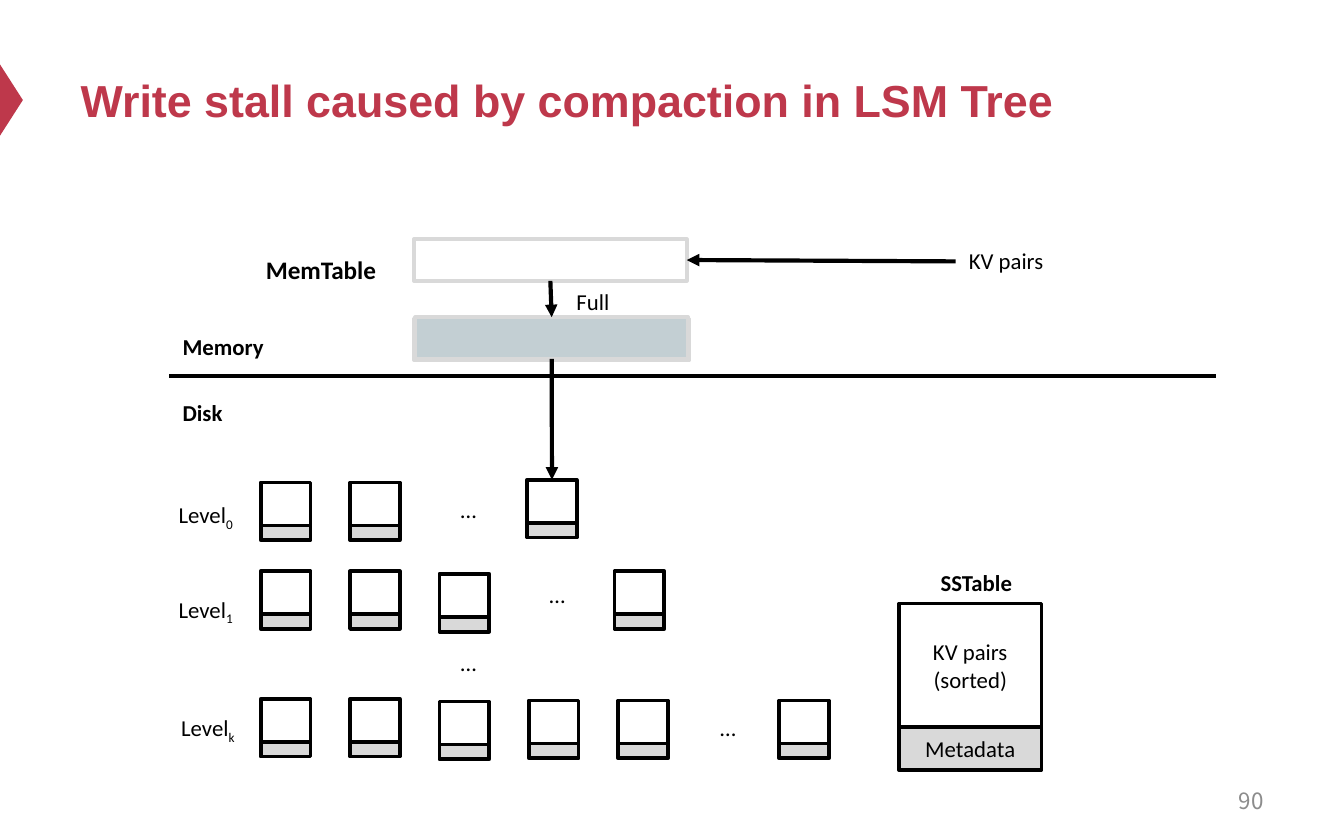
"""Build a slide on write stalls caused by compaction in an LSM tree."""
from lxml.etree import SubElement
from pptx import Presentation
from pptx.dml.color import RGBColor
from pptx.enum.shapes import MSO_CONNECTOR, MSO_SHAPE
from pptx.enum.text import MSO_ANCHOR, MSO_AUTO_SIZE, PP_ALIGN
from pptx.oxml.ns import qn
from pptx.util import Inches, Pt

RED = RGBColor(0xBE, 0x38, 0x4B)
BLACK = RGBColor(0, 0, 0)
LIGHT_GREY = RGBColor(0xD9, 0xD9, 0xD9)
NUMBER_GREY = RGBColor(0x8C, 0x8C, 0x8C)
BLUE_GREY = RGBColor(0xC3, 0xCF, 0xD3)

WIDTH, HEIGHT = Inches(10), Inches(6.25)
BODY = {"name": "Calibri", "size": Pt(12.2), "bold": False}
STRONG = {**BODY, "bold": True}
TEXT_HEIGHT = 4.96
FIRST_COLUMN, COLUMN_STEP = 19.4, 6.65
TILE_WIDTH, DATA_HEIGHT, METADATA_HEIGHT = 3.7, 5.12, 1.76

LEVELS = [
    {"name": "0", "label": (12.3, 58.88, 6.5), "top": 57.44,
     "tiles": [(0, 0), (1, 0), (2.98, -0.32)]},
    {"name": "1", "label": (12.3, 70.08, 6.2), "top": 68,
     "tiles": [(0, 0), (1, 0), (2, 0.32), (3.96, 0)]},
    {"name": "k", "label": (12.5, 84.16, 6.4), "top": 83.2,
     "tiles": [(0, 0), (1, 0), (2, 0.32), (3, 0.2), (4, 0.2), (5.8, 0.2)]},
]
ELLIPSES = [(33.3, 58.24), (39.9, 68.32), (33.3, 76.48), (52.6, 84.16)]
LABELS = [
    ("Memory", 12.6, 38.88, 8.2, STRONG),
    ("Disk", 12.6, 46.72, 5.1, STRONG),
    ("Full", 41.9, 33.44, 4.5, BODY),
    ("SSTable", 69, 66.88, 7.7, STRONG),
    ("MemTable", 18.8, 29.44, 11.8, {**STRONG, "size": Pt(13.5)}),
]


def across(share):
    """Turn a percentage of the slide's width into a length."""
    return round(WIDTH * share / 100)


def down(share):
    """Turn a percentage of the slide's height into a length."""
    return round(HEIGHT * share / 100)


def frame(left, top, width, height):
    """Return a position and size from shares of the slide."""
    return across(left), down(top), across(width), down(height)


def set_values(target, values):
    """Set attributes from a dict of format values."""
    for name, value in values.items():
        setattr(target, name, value)


def write(para, text, style, color=BLACK):
    """Add a formatted span to a paragraph."""
    span = para.add_run()
    span.text = text
    set_values(span.font, style)
    span.font.color.rgb = color
    return span


def add_label(slide, text, left, top, width, style=BODY):
    """Add a one-line text box."""
    box = slide.shapes.add_textbox(*frame(left, top, width, TEXT_HEIGHT))
    set_values(box.text_frame, {"word_wrap": False, "auto_size": MSO_AUTO_SIZE.SHAPE_TO_FIT_TEXT})
    write(box.text_frame.paragraphs[0], text, style)
    return box


def add_box(slide, place, fill=None, line=BLACK, lines=()):
    """Add an outlined rectangle with optional centred text lines."""
    box = slide.shapes.add_shape(MSO_SHAPE.RECTANGLE, *frame(*place))
    box.shadow.inherit = False
    if fill is None:
        box.fill.background()
    else:
        box.fill.solid()
        box.fill.fore_color.rgb = fill
    box.line.color.rgb = line
    box.line.width = Pt(2)
    text_frame = box.text_frame
    text_frame.vertical_anchor = MSO_ANCHOR.MIDDLE
    for index, text in enumerate(lines):
        para = text_frame.add_paragraph() if index else text_frame.paragraphs[0]
        para.alignment = PP_ALIGN.CENTER
        write(para, text, BODY)
    return box


def add_line(slide, start=(0, 0), end=(0, 0)):
    """Add a plain black line between two points."""
    line = slide.shapes.add_connector(
        MSO_CONNECTOR.STRAIGHT, across(start[0]), down(start[1]), across(end[0]), down(end[1]))
    line.line.color.rgb = BLACK
    line.line.width = Pt(2.25)
    SubElement(line._element.spPr, qn("a:effectLst"))
    return line


def add_arrow(slide, source, source_side, target, target_side):
    """Join two boxes with an arrow."""
    arrow = add_line(slide)
    arrow.begin_connect(source, source_side)
    arrow.end_connect(target, target_side)
    SubElement(arrow.line._get_or_add_ln(), qn("a:tailEnd"), type="triangle")


def add_tile(slide, column, top):
    """Add a small table file and return its data part."""
    left = FIRST_COLUMN + column * COLUMN_STEP
    data = add_box(slide, (left, top, TILE_WIDTH, DATA_HEIGHT))
    add_box(slide, (left, top + DATA_HEIGHT, TILE_WIDTH, METADATA_HEIGHT), LIGHT_GREY)
    return data


def add_level(slide, level):
    """Add a level's label and tiles and return the last tile."""
    label = add_label(slide, "Level", *level["label"])
    subscript = write(label.text_frame.paragraphs[0], level["name"], BODY)
    subscript._r.get_or_add_rPr().set("baseline", "-25000")
    return [add_tile(slide, column, level["top"] + drop) for column, drop in level["tiles"]][-1]


def add_heading(slide):
    """Fill the title and add its marker and the page number."""
    title = slide.shapes.title
    title.left, title.top, title.width, title.height = frame(5, 4, 90, 15.68)
    set_values(title.text_frame, {"vertical_anchor": MSO_ANCHOR.MIDDLE, "word_wrap": True,
                                  "auto_size": MSO_AUTO_SIZE.NONE})
    para = title.text_frame.paragraphs[0]
    para.alignment = PP_ALIGN.LEFT
    write(para, "Write stall caused by compaction in LSM Tree",
          {"name": "Arial", "size": Pt(24), "bold": True}, RED)

    marker = slide.shapes.add_shape(MSO_SHAPE.ISOSCELES_TRIANGLE, *frame(-1.8, 10.56, 5.3, 2.72))
    marker.rotation = 90
    marker.shadow.inherit = False
    marker.fill.solid()
    marker.fill.fore_color.rgb = RED
    marker.line.fill.background()

    number = slide.shapes.add_textbox(*frame(71.7, 92.64, 23.3, 5.28))
    set_values(number.text_frame, {"word_wrap": True, "vertical_anchor": MSO_ANCHOR.MIDDLE})
    para = number.text_frame.paragraphs[0]
    para.alignment = PP_ALIGN.RIGHT
    write(para, "90", {"name": "Noto Sans CJK SC", "size": Pt(12)}, NUMBER_GREY)


def main():
    """Build and save the deck."""
    deck = Presentation()
    deck.slide_width, deck.slide_height = WIDTH, HEIGHT
    slide = deck.slides.add_slide(deck.slide_layouts[5])
    add_heading(slide)

    add_line(slide, (12.6, 44.8), (90.5, 44.8))
    for label in LABELS:
        add_label(slide, *label)
    for left, top in ELLIPSES:
        add_label(slide, "…", left, top, 3.7)
    newest_tile = [add_level(slide, level) for level in LEVELS][0]

    add_box(slide, (66.9, 71.84, 10.6, 14.72), lines=("KV pairs", "(sorted)"))
    add_box(slide, (66.9, 86.56, 10.6, 5.12), LIGHT_GREY, lines=("Metadata",))

    add_box(slide, (30.8, 37.92, 20.5, TEXT_HEIGHT), line=LIGHT_GREY)
    active_table = add_box(slide, (30.8, 28.48, 20.3, TEXT_HEIGHT), line=LIGHT_GREY)
    full_table = add_box(slide, (30.9, 37.76, 20.3, TEXT_HEIGHT), BLUE_GREY, LIGHT_GREY)
    pairs = add_label(slide, "KV pairs", 71.1, 28.64, 7.8)
    add_arrow(slide, pairs, 1, active_table, 3)
    add_arrow(slide, active_table, 2, full_table, 0)
    add_arrow(slide, full_table, 2, newest_tile, 0)
    deck.save("out.pptx")


if __name__ == "__main__":
    main()
